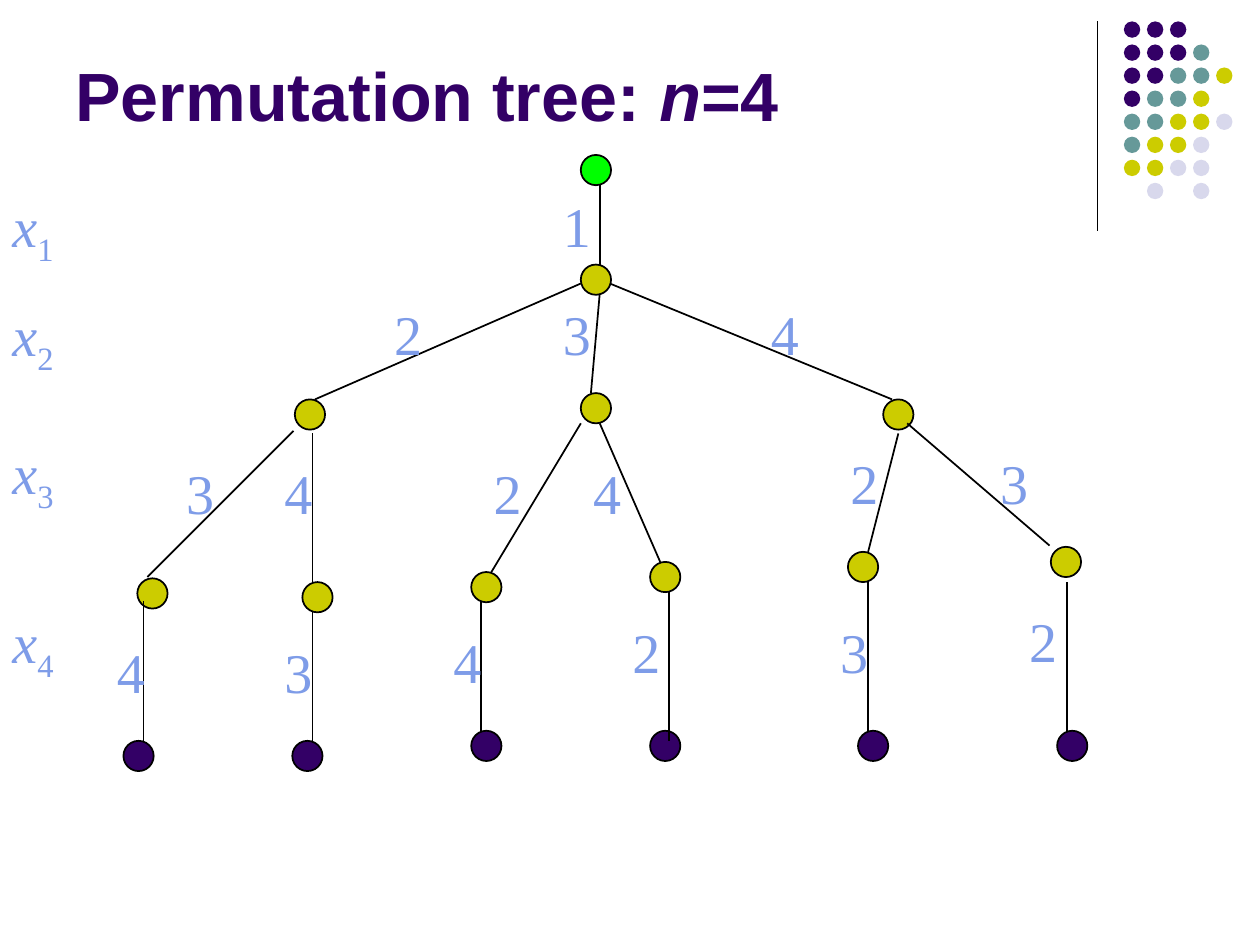
from pptx import Presentation
from pptx.dml.color import RGBColor
from pptx.enum.shapes import MSO_CONNECTOR, MSO_SHAPE
from pptx.enum.text import MSO_ANCHOR
from pptx.oxml.ns import qn
from pptx.util import Inches, Pt
from lxml.etree import SubElement

PURPLE, TEAL, OLIVE, PALE = "330066", "669999", "CCCC00", "D8D8EC"
GREEN, BLACK, BLUE = "00FF00", "000000", "7E9CE8"

TITLE = [("Permutation tree: ", False), ("n", True), ("=4", False)]

# Corner ornament: one letter per dot
DOT_COLORS = {"P": PURPLE, "T": TEAL, "O": OLIVE, "L": PALE}
DOT_ROWS = ["PPP", "PPPT", "PPTTO", "PTTO", "TTOOL", "TOOL", "OOLL", " L L"]
DOT_LEFT, DOT_TOP, DOT_STEP, DOT_SIZE = 8.92, 0.17, 0.183, 0.13

# Tree: node corner, then edge start, edge end, edge label and label corner
NODE_SIZE = 0.24
ROOT = (4.61, 1.23)
LEVELS = [
    (OLIVE, [
        ((4.61, 2.10), (4.76, 1.47), (4.76, 2.10), "1", (4.37, 1.47)),
    ]),
    (OLIVE, [
        ((2.34, 3.17), (4.61, 2.25), (2.50, 3.17), "2", (3.03, 2.33)),
        ((4.61, 3.12), (4.76, 2.33), (4.69, 3.12), "3", (4.37, 2.33)),
        ((7.01, 3.17), (4.84, 2.25), (7.08, 3.17), "4", (6.02, 2.33)),
    ]),
    (OLIVE, [
        ((1.09, 4.59), (2.33, 3.42), (1.17, 4.58), "3", (1.38, 3.59)),
        ((2.40, 4.62), (2.48, 3.44), (2.48, 4.62), "4", (2.16, 3.59)),
        ((3.74, 4.54), (4.61, 3.36), (3.90, 4.54), "2", (3.82, 3.59)),
        ((5.16, 4.46), (4.76, 3.36), (5.24, 4.46), "4", (4.61, 3.59)),
        ((6.73, 4.38), (7.13, 3.44), (6.89, 4.38), "2", (6.65, 3.51)),
        ((8.34, 4.34), (7.20, 3.36), (8.33, 4.33), "3", (7.84, 3.51)),
    ]),
    (PURPLE, [
        ((0.98, 5.88), (1.14, 4.77), (1.14, 5.88), "4", (0.83, 5.01)),
        ((2.32, 5.88), (2.48, 4.85), (2.48, 5.88), "3", (2.16, 5.01)),
        ((3.74, 5.80), (3.82, 4.77), (3.82, 5.80), "4", (3.50, 4.93)),
        ((5.16, 5.80), (5.31, 4.69), (5.31, 5.88), "2", (4.92, 4.85)),
        ((6.81, 5.80), (6.89, 4.62), (6.89, 5.80), "3", (6.57, 4.85)),
        ((8.39, 5.80), (8.47, 4.62), (8.47, 5.80), "2", (8.07, 4.77)),
    ]),
]
VARIABLE_TOPS = [1.55, 2.41, 3.51, 4.85]
LABEL_WIDTH, LABEL_HEIGHT = 0.5, 0.63


def color(value):
    return RGBColor.from_string(value)


def add_circle(slide, corner, size, fill, outlined=True):
    shape = slide.shapes.add_shape(
        MSO_SHAPE.OVAL, *(Inches(v) for v in (*corner, size, size)))
    shape.shadow.inherit = False
    shape.fill.solid()
    shape.fill.fore_color.rgb = color(fill)
    if outlined:
        shape.line.color.rgb = color(BLACK)
        shape.line.width = Pt(1)
    else:
        shape.line.fill.background()


def add_line(slide, start, end, width=1):
    line = slide.shapes.add_connector(
        MSO_CONNECTOR.STRAIGHT, *(Inches(v) for v in (*start, *end)))
    line.line.color.rgb = color(BLACK)
    line.line.width = Pt(width)
    SubElement(line._element.spPr, qn("a:effectLst"))


def add_text(slide, box, runs, size, font, fill, anchor):
    """Write runs of (text, italic) and return them for further formatting."""
    text_frame = slide.shapes.add_textbox(*(Inches(v) for v in box)).text_frame
    text_frame.word_wrap = True
    text_frame.vertical_anchor = anchor
    paragraph = text_frame.paragraphs[0]
    for text, italic in runs:
        run = paragraph.add_run()
        run.text = text
        run.font.size = Pt(size)
        run.font.name = font
        run.font.italic = italic
        run.font.color.rgb = color(fill)
    return paragraph.runs


def add_label(slide, corner, runs, width=LABEL_WIDTH):
    return add_text(slide, (*corner, width, LABEL_HEIGHT), runs,
                    32, "Times New Roman", BLUE, MSO_ANCHOR.BOTTOM)


def main():
    presentation = Presentation()
    presentation.slide_width, presentation.slide_height = Inches(10), Inches(7.5)
    slide = presentation.slides.add_slide(presentation.slide_layouts[6])

    # Corner ornament
    add_line(slide, (8.71, 0.17), (8.71, 1.83), 0.75)
    for row, letters in enumerate(DOT_ROWS):
        for column, letter in enumerate(letters):
            if letter in DOT_COLORS:
                corner = (DOT_LEFT + column * DOT_STEP, DOT_TOP + row * DOT_STEP)
                add_circle(slide, corner, DOT_SIZE, DOT_COLORS[letter], False)

    # Title
    for run in add_text(slide, (0.5, 0.13, 8.25, 1.23), TITLE,
                        39, "Arial", PURPLE, MSO_ANCHOR.MIDDLE):
        run.font.bold = True

    # Tree: nodes, then edges and their labels on top
    add_circle(slide, ROOT, NODE_SIZE, GREEN)
    for fill, branches in LEVELS:
        for node, *_ in branches:
            add_circle(slide, node, NODE_SIZE, fill)
    for _, branches in LEVELS:
        for _, start, end, label, corner in branches:
            add_line(slide, start, end)
            add_label(slide, corner, [(label, False)])

    # Variable names at the left, one per level
    for number, top in enumerate(VARIABLE_TOPS, 1):
        runs = add_label(slide, (0, top), [("x", True), (str(number), False)], 0.59)
        runs[1].font._element.set("baseline", "-25000")

    presentation.save("out.pptx")


if __name__ == "__main__":
    main()
